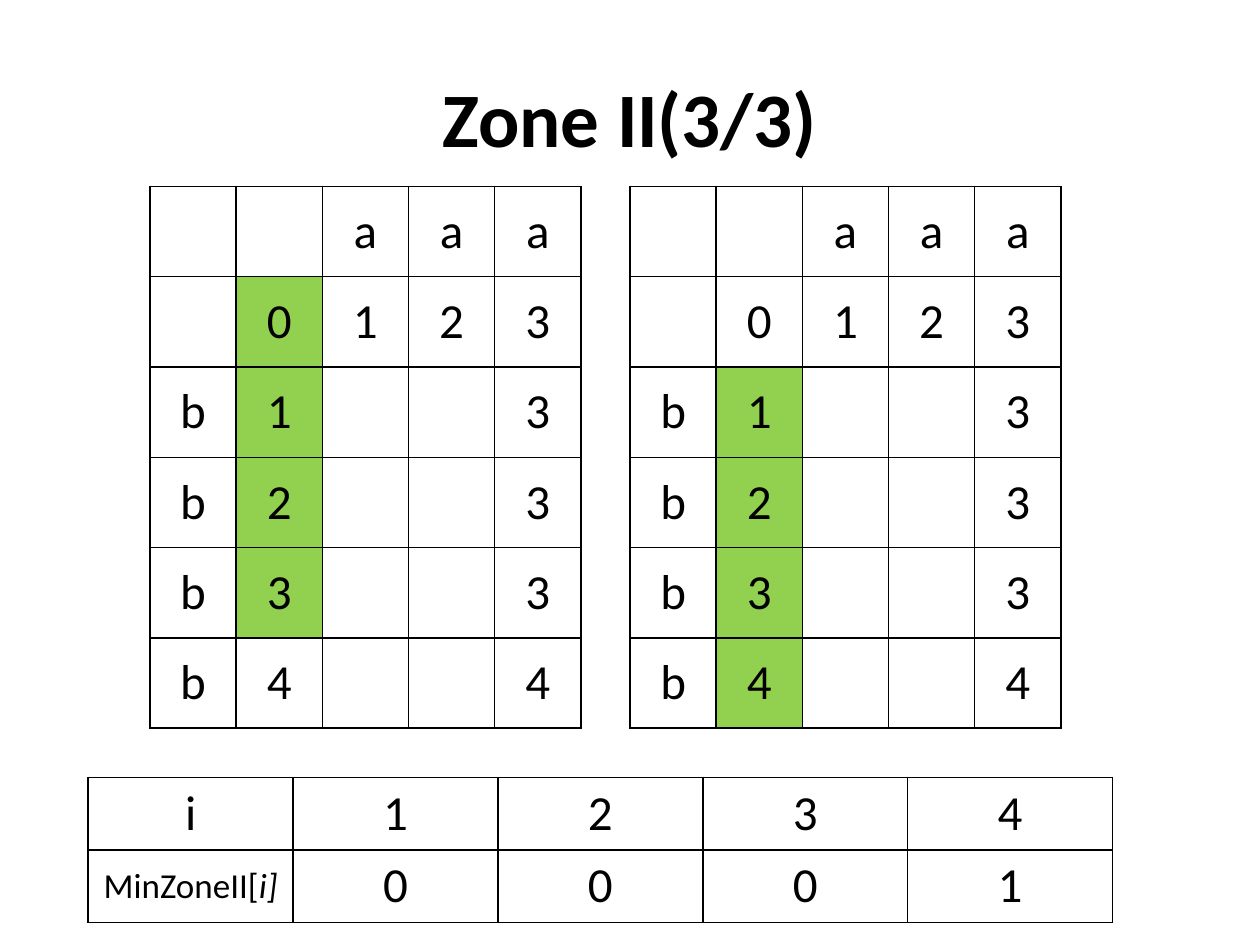
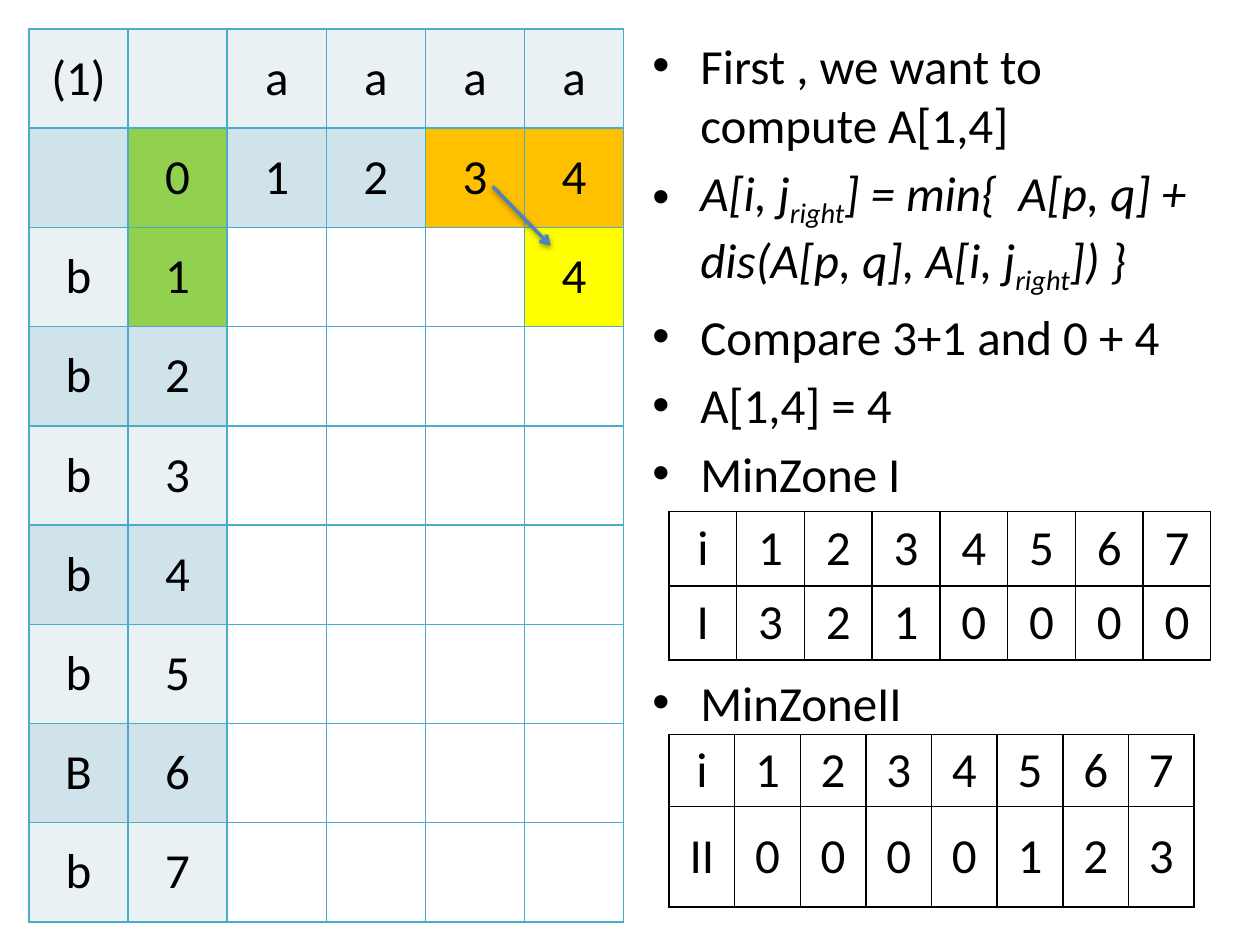
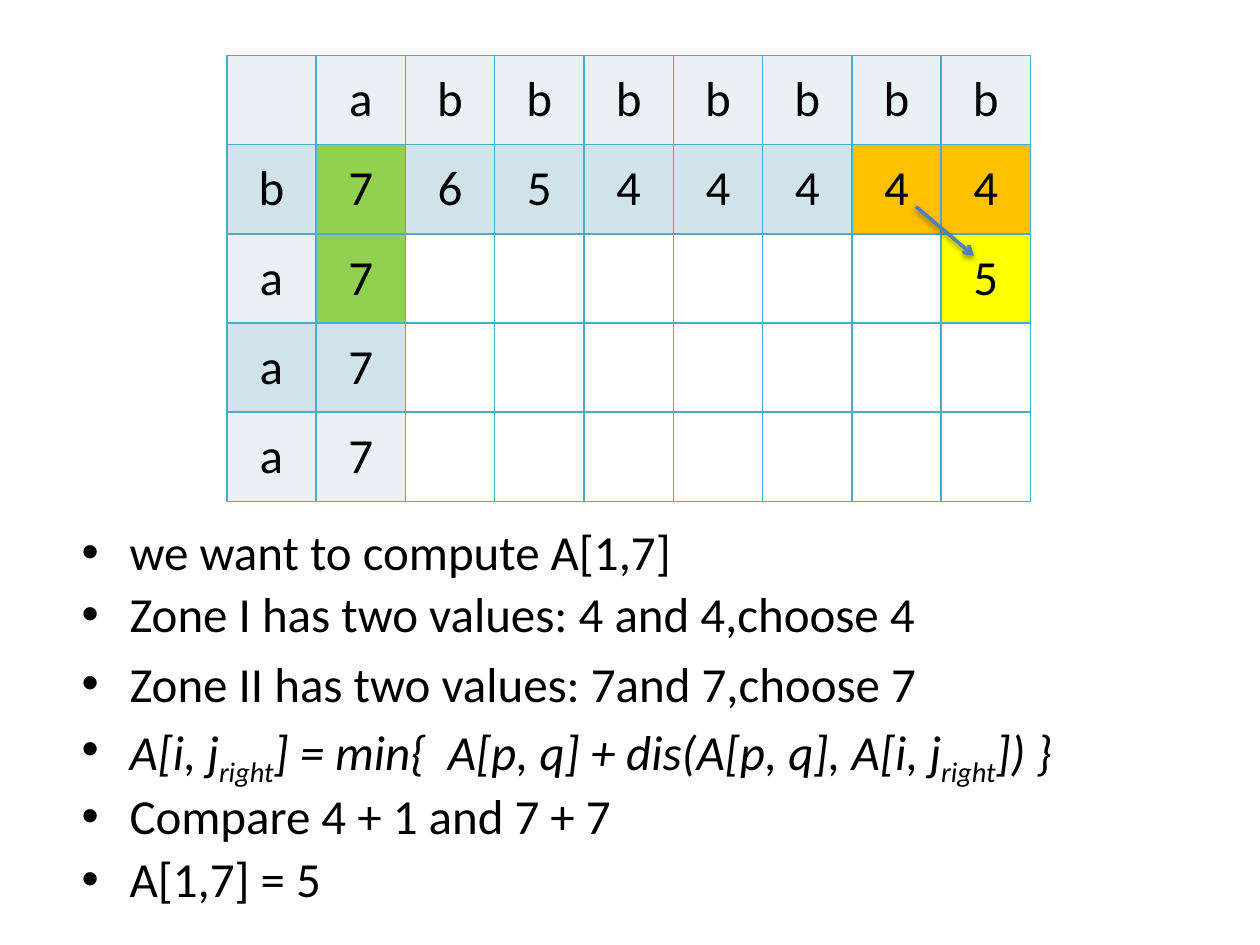
from lxml import etree
from pptx import Presentation
from pptx.dml.color import RGBColor
from pptx.enum import shapes, text
from pptx.oxml import ns
from pptx.util import Inches, Pt

FONT = "Calibri"
BLACK, WHITE, TEAL, BLUE = "000000", "FFFFFF", "4BACC6", "4F81BD"
GREEN, GOLD, YELLOW = "92D050", "FFC000", "FFFF00"
BANDS = "E9F1F5", "D0E3EA"
FORMULA = "A[i, j_right_] = min{  A[p, q] + dis(A[p, q], A[i, j_right_]) }"


def rgb(code):
    return RGBColor.from_string(code)


def style(font, size=28, bold=False, italic=False):
    font.name, font.size = FONT, Pt(size)
    font.bold, font.italic = bold, italic
    font.color.rgb = rgb(BLACK)


def sub(parent, tag, **attrs):
    return etree.SubElement(parent, ns.qn(tag), **attrs)


def edge(cell, color):
    """Draw a thin line on all four sides of a cell."""
    props = cell._tc.get_or_add_tcPr()
    for side in "LRTB":
        line = sub(props, "a:ln" + side, w=str(Pt(1)))
        sub(sub(line, "a:solidFill"), "a:srgbClr", val=color)


def grid(slide, box, rows, line=BLACK, fill=lambda r, c: WHITE, heights=None):
    """Add a table of equal columns; each row is a string, '.' an empty cell."""
    rows = [row.split() for row in rows]
    left, top, width, height = map(Inches, box)
    table = slide.shapes.add_table(
        len(rows), len(rows[0]), left, top, width, height).table
    table.first_row = table.horz_banding = False
    for col in table.columns:
        col.width = width // len(rows[0])
    for r, row in enumerate(rows):
        table.rows[r].height = Inches(heights[r]) if heights else height // len(rows)
        for c, word in enumerate(row):
            cell = table.cell(r, c)
            cell.vertical_anchor = text.MSO_ANCHOR.MIDDLE
            edge(cell, line)
            cell.fill.solid()
            cell.fill.fore_color.rgb = rgb(fill(r, c))
            par = cell.text_frame.paragraphs[0]
            par.alignment = text.PP_ALIGN.CENTER
            style(par.font)
            if word != ".":
                par.text = word
                style(par.runs[0].font)
    return table


def matrix(slide, box, rows):
    """Add a banded distance table whose compared cells are highlighted."""
    last = len(rows[0].split()) - 1
    marks = {(1, 1): GREEN, (2, 1): GREEN, (1, last - 1): GOLD,
             (1, last): GOLD, (2, last): YELLOW}

    def fill(r, c):
        return marks.get((r, c), BANDS[r % 2] if r < 2 or c < 2 else WHITE)

    grid(slide, box, rows, TEAL, fill)


def arrow(slide, *ends):
    line = slide.shapes.add_connector(
        shapes.MSO_CONNECTOR.STRAIGHT, *map(Inches, ends)).line
    line.color.rgb, line.width = rgb(BLUE), Pt(2)
    sub(line._get_or_add_ln(), "a:tailEnd", type="arrow")


def bullets(slide, box, lines, gaps={}, tight=()):
    """Add a bullet list; gaps maps a line to its space before in points."""
    frame = slide.shapes.add_textbox(*map(Inches, box)).text_frame
    frame.word_wrap = True
    for n, words in enumerate(lines):
        par = frame.add_paragraph() if n else frame.paragraphs[0]
        props = par._p.get_or_add_pPr()
        props.set("marL", str(Inches(0.38)))
        props.set("indent", str(-Inches(0.38)))
        sub(props, "a:buFont", typeface="Arial")
        sub(props, "a:buChar", char="•")
        if n:
            par.space_before = Pt(gaps.get(n, 5.6))
        if n in tight:
            par.line_spacing = 0.9
        for k, part in enumerate(words.split("_")):
            run = par.add_run()
            run.text = part
            style(run.font, italic=words == FORMULA)
            if k % 2:
                run.font._element.set("baseline", "-25000")


def zone(deck):
    slide = deck.slides.add_slide(deck.slide_layouts[5])
    title = slide.shapes.title
    title.left, title.top, title.width, title.height = map(
        Inches, (0.5, 0.3, 9, 1.25))
    title.text_frame.text = "Zone II(3/3)"
    title.text_frame.vertical_anchor = text.MSO_ANCHOR.MIDDLE
    par = title.text_frame.paragraphs[0]
    par.alignment = text.PP_ALIGN.CENTER
    style(par.runs[0].font, 44, bold=True)

    rows = [". . a a a", ". 0 1 2 3", "b 1 . . 3", "b 2 . . 3",
            "b 3 . . 3", "b 4 . . 4"]
    for left, first in ((1.19, 1), (5, 2)):
        grid(slide, (left, 1.48, 3.42, 4.3), rows,
             fill=lambda r, c: GREEN if c == 1 and first <= r < first + 4 else WHITE)

    table = grid(slide, (0.7, 6.17, 8.13, 1.14), ["i 1 2 3 4", "MinZoneII[ 0 0 0 1"])
    par = table.cell(1, 0).text_frame.paragraphs[0]
    style(par.runs[0].font, 20)
    run = par.add_run()
    run.text = "i]"
    style(run.font, 20, italic=True)


def tall(deck):
    slide = deck.slides.add_slide(deck.slide_layouts[6])
    bullets(slide, (5.08, 0.23, 4.69, 6.95),
            ["First , we want to compute A[1,4]", FORMULA, "Compare 3+1 and 0 + 4",
             "A[1,4] = 4", "MinZone I", "MinZoneII"], gaps={5: 97})
    names = "bbbbbBb"
    matrix(slide, (0.23, 0.23, 4.72, 7.09),
           ["(1) . a a a a", ". 0 1 2 3 4", "b 1 . . . 4"]
           + [f"{name} {n} . . . ." for n, name in enumerate(names[1:], 2)])
    arrow(slide, 3.91, 1.48, 4.37, 1.95)
    head = "i 1 2 3 4 5 6 7"
    grid(slide, (5.31, 4.06, 4.3, 1.18), [head, "I 3 2 1 0 0 0 0"])
    grid(slide, (5.31, 5.83, 4.17, 1.37), [head, "II 0 0 0 0 1 2 3"],
         heights=(0.57, 0.8))


def wide(deck):
    slide = deck.slides.add_slide(deck.slide_layouts[6])
    matrix(slide, (1.8, 0.44, 6.38, 3.54),
           [". a b b b b b b b", "b 7 6 5 4 4 4 4 4", "a 7 . . . . . . 5"]
           + ["a 7 . . . . . . ."] * 2)
    arrow(slide, 7.27, 1.64, 7.73, 2.03)
    bullets(slide, (0.55, 4.14, 9.3, 3.13),
            ["we want to compute A[1,7]", "Zone I has two values: 4 and 4,choose 4",
             "Zone II has two values: 7and 7,choose 7", FORMULA,
             "Compare 4 + 1 and 7 + 7", "A[1,7] = 5"], tight=(0, 1, 3, 4, 5))


def main():
    deck = Presentation()
    deck.slide_width, deck.slide_height = Inches(10), Inches(7.5)
    for build in (zone, tall, wide):
        build(deck)
    deck.save("out.pptx")


if __name__ == "__main__":
    main()
